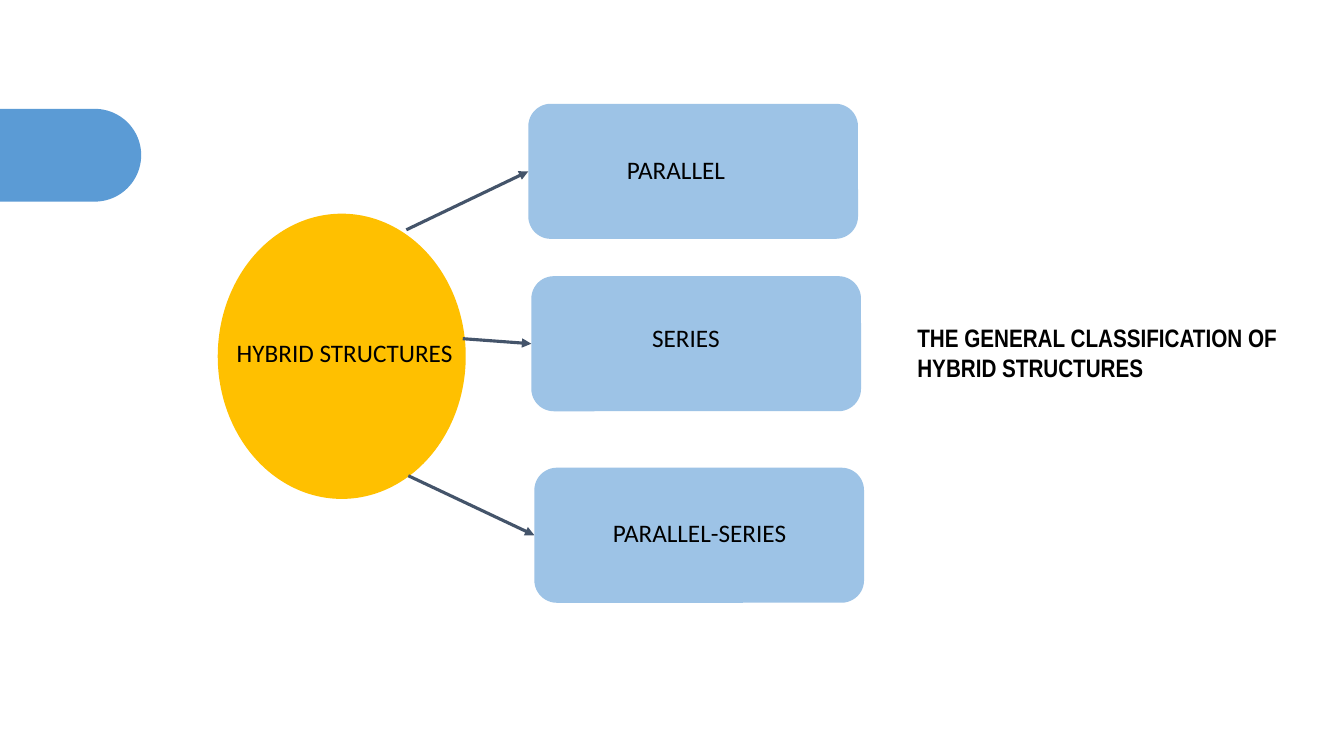
from lxml.etree import SubElement
from pptx import Presentation
from pptx.dml.color import RGBColor
from pptx.enum.shapes import MSO_CONNECTOR as Link, MSO_SHAPE as Shape
from pptx.enum.text import MSO_AUTO_SIZE as Fit
from pptx.oxml.ns import qn
from pptx.util import Inches, Pt

BLUE = RGBColor(0x5B, 0x9B, 0xD5)
PALE = RGBColor(0x9D, 0xC3, 0xE6)
GOLD = RGBColor(0xFF, 0xC0, 0x00)
SLATE = RGBColor(0x44, 0x54, 0x6A)
BLACK = RGBColor(0, 0, 0)

WIDE, HIGH = 13.33, 7.5
TITLE = ("THE GENERAL CLASSIFICATION OF HYBRID STRUCTURES", (9, 3.15, 3.9, 0.71))
ROOT = ("HYBRID STRUCTURES", (2.25, 3.3, 2.47, 0.4))
OVAL = (2.16, 2.12, 2.46, 2.83)
TAB = (0.24, 0.84, 0.92, 1.4)

# Kind: box top, label left, top and width, arrow start
KINDS = [
    ("PARALLEL", 1.03, (6.12, 1.48, 1.32), (4.03, 2.28)),
    ("SERIES", 2.74, (6.37, 3.15, 1.17), (4.59, 3.36)),
    ("PARALLEL-SERIES", 4.64, (5.98, 5.08, 2.05), (4.05, 4.72)),
]
LEFT, STEP = 5.24, 0.03
BOX_W, BOX_H, LABEL_H = 3.27, 1.34, 0.4

BODY = {"name": "Calibri", "size": Pt(18), "bold": False}
HEAD = {"name": "Arial Narrow", "size": Pt(18), "bold": True}


def inches(nums):
    return [Inches(n) for n in nums]


def add_block(slide, form, area, fill):
    block = slide.shapes.add_shape(form, *inches(area))
    block.shadow.inherit = False
    block.fill.solid()
    block.fill.fore_color.rgb = fill
    block.line.fill.background()
    return block


def add_label(slide, text, area, style):
    frame = slide.shapes.add_textbox(*inches(area)).text_frame
    frame.word_wrap = True
    frame.auto_size = Fit.SHAPE_TO_FIT_TEXT
    para = frame.paragraphs[0]
    run = para.add_run()
    run.text = text
    for key, value in style.items():
        setattr(run.font, key, value)
    run.font.color.rgb = BLACK


def add_arrow(slide, start, end):
    arrow = slide.shapes.add_connector(Link.STRAIGHT, *inches(start + end))
    arrow.line.color.rgb = SLATE
    arrow.line.width = Pt(2.25)
    SubElement(arrow.line._get_or_add_ln(), qn("a:tailEnd"), type="triangle")
    SubElement(arrow._element.spPr, qn("a:effectLst"))


def main():
    deck = Presentation()
    deck.slide_width, deck.slide_height = inches((WIDE, HIGH))
    slide = deck.slides.add_slide(deck.slide_layouts[6])

    tab = add_block(slide, Shape.ROUND_2_SAME_RECTANGLE, TAB, BLUE)
    tab.adjustments[0] = 0.5
    tab.rotation = 90
    add_block(slide, Shape.OVAL, OVAL, GOLD)
    add_label(slide, *ROOT, BODY)

    for row, (name, top, label, start) in enumerate(KINDS):
        left = LEFT + row * STEP
        add_block(slide, Shape.ROUNDED_RECTANGLE, (left, top, BOX_W, BOX_H), PALE)
        add_label(slide, name, label + (LABEL_H,), BODY)
        add_arrow(slide, start, (left, top + BOX_H / 2))

    add_label(slide, *TITLE, HEAD)
    deck.save("out.pptx")


if __name__ == "__main__":
    main()
